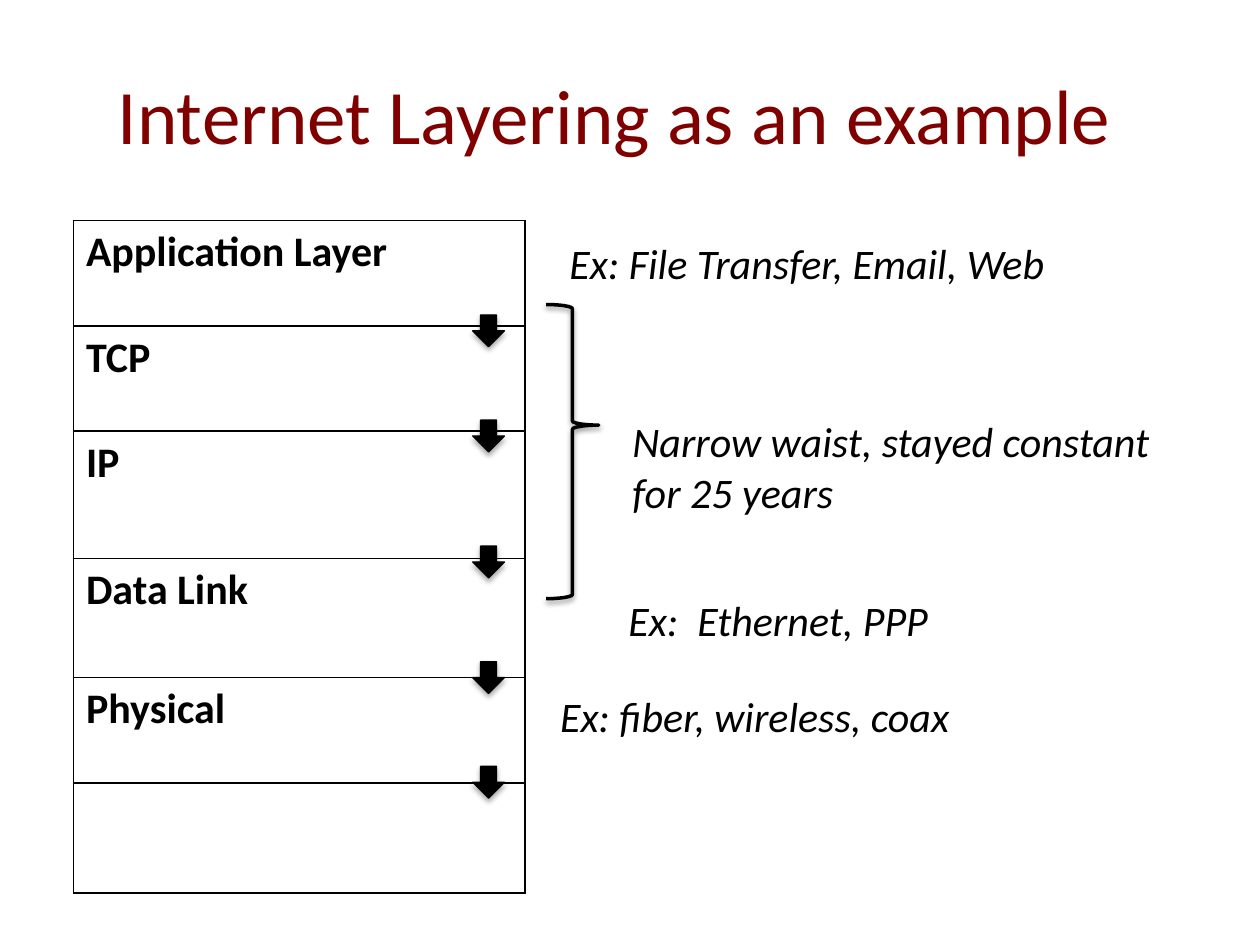
import lxml.etree
import pptx
import pptx.dml.color
import pptx.enum.shapes
import pptx.enum.text
import pptx.oxml.ns
import pptx.util
from pptx.util import Cm, Pt

BLACK = pptx.dml.color.RGBColor(0x00, 0x00, 0x00)
WHITE = pptx.dml.color.RGBColor(0xFF, 0xFF, 0xFF)
MAROON = pptx.dml.color.RGBColor(0x80, 0x00, 0x00)
FONT = "Calibri"

LAYERS = [
    ("Application Layer", 2.12),
    ("TCP", 2.12),
    ("IP", 2.57),
    ("Data Link", 2.4),
    ("Physical", 2.12),
    ("", 2.22),
]
ARROW_TOPS = [6.35, 8.47, 11.01, 13.34, 15.45]
NOTES = [
    ("Ex: File Transfer, Email, Web", 11.23, 4.66, 10.39, 1.27, False),
    ("Narrow waist, stayed constant for 25 years", 12.5, 8.26, 11.22, 2.31, True),
    ("Ex:  Ethernet, PPP", 12.42, 11.86, 6.9, 1.27, False),
    ("Ex: fiber, wireless, coax", 11.04, 13.79, 8.7, 1.27, False),
]


def add_element(parent, tag, **attributes):
    return lxml.etree.SubElement(parent, pptx.oxml.ns.qn(tag), attributes)


def style_font(para, size, color, bold=False, italic=False):
    font = para.font
    font.name = FONT
    font.size = Pt(size)
    font.color.rgb = color
    font.bold = bold
    font.italic = italic


def add_text(page, text, left, top, width, height, wrap):
    box = page.shapes.add_textbox(Cm(left), Cm(top), Cm(width), Cm(height))
    box.text_frame.word_wrap = wrap
    para = box.text_frame.paragraphs[0]
    para.text = text
    style_font(para, 24, BLACK, italic=True)
    return box


def add_title(page, text):
    box = add_text(page, text, 0.64, 0.76, 23.5, 3.05, True)
    box.text_frame.vertical_anchor = pptx.enum.text.MSO_ANCHOR.MIDDLE
    para = box.text_frame.paragraphs[0]
    para.alignment = pptx.enum.text.PP_ALIGN.CENTER
    style_font(para, 44, MAROON)


def add_borders(cell):
    properties = cell._tc.get_or_add_tcPr()
    for side in ("a:lnL", "a:lnR", "a:lnT", "a:lnB"):
        border = add_element(properties, side, w=str(Pt(1)))
        fill = add_element(border, "a:solidFill")
        add_element(fill, "a:srgbClr", val=str(BLACK))


def add_layer_table(page):
    height = sum(row_height for name, row_height in LAYERS)
    frame = page.shapes.add_table(len(LAYERS), 1, Cm(1.48), Cm(4.45), Cm(9.1), Cm(height))
    table = frame.table
    table.first_row = False
    table.horz_banding = False
    for row, (name, row_height) in zip(table.rows, LAYERS):
        row.height = Cm(row_height)
        cell = row.cells[0]
        add_borders(cell)
        cell.fill.solid()
        cell.fill.fore_color.rgb = WHITE
        if name:
            para = cell.text_frame.paragraphs[0]
            para.text = name
            style_font(para, 24, BLACK, bold=True)


def add_shadowed_shape(page, kind, left, top, width, height, line_width, distance, opacity):
    shape = page.shapes.add_shape(kind, Cm(left), Cm(top), Cm(width), Cm(height))
    shape.line.color.rgb = BLACK
    shape.line.width = Pt(line_width)
    shape.shadow.inherit = False
    effects = shape._element.spPr.find(pptx.oxml.ns.qn("a:effectLst"))
    shadow = add_element(effects, "a:outerShdw", blurRad=str(Pt(3.1)), dist=str(Pt(distance)),
                         dir="5400000", rotWithShape="0")
    color = add_element(shadow, "a:srgbClr", val=str(BLACK))
    add_element(color, "a:alpha", val=str(opacity * 1000))
    return shape


def add_down_arrow(page, top):
    kind = pptx.enum.shapes.MSO_SHAPE.DOWN_ARROW
    arrow = add_shadowed_shape(page, kind, 9.53, top, 0.64, 0.64, 0.75, 1.8, 35)
    arrow.fill.solid()
    arrow.fill.fore_color.rgb = BLACK


def add_waist_brace(page):
    kind = pptx.enum.shapes.MSO_SHAPE.RIGHT_BRACE
    brace = add_shadowed_shape(page, kind, 11.01, 6.14, 1.06, 5.93, 2, 1.6, 38)
    brace.fill.background()
    brace.adjustments[0] = 0.08
    brace.adjustments[1] = 0.41


def main():
    deck = pptx.Presentation()
    deck.slide_width = Cm(25.4)
    deck.slide_height = Cm(19.05)
    page = deck.slides.add_slide(deck.slide_layouts[6])
    add_title(page, "Internet Layering as an example")
    add_layer_table(page)
    for top in ARROW_TOPS:
        add_down_arrow(page, top)
    add_waist_brace(page)
    for note in NOTES:
        add_text(page, *note)
    deck.save("out.pptx")


if __name__ == "__main__":
    main()
